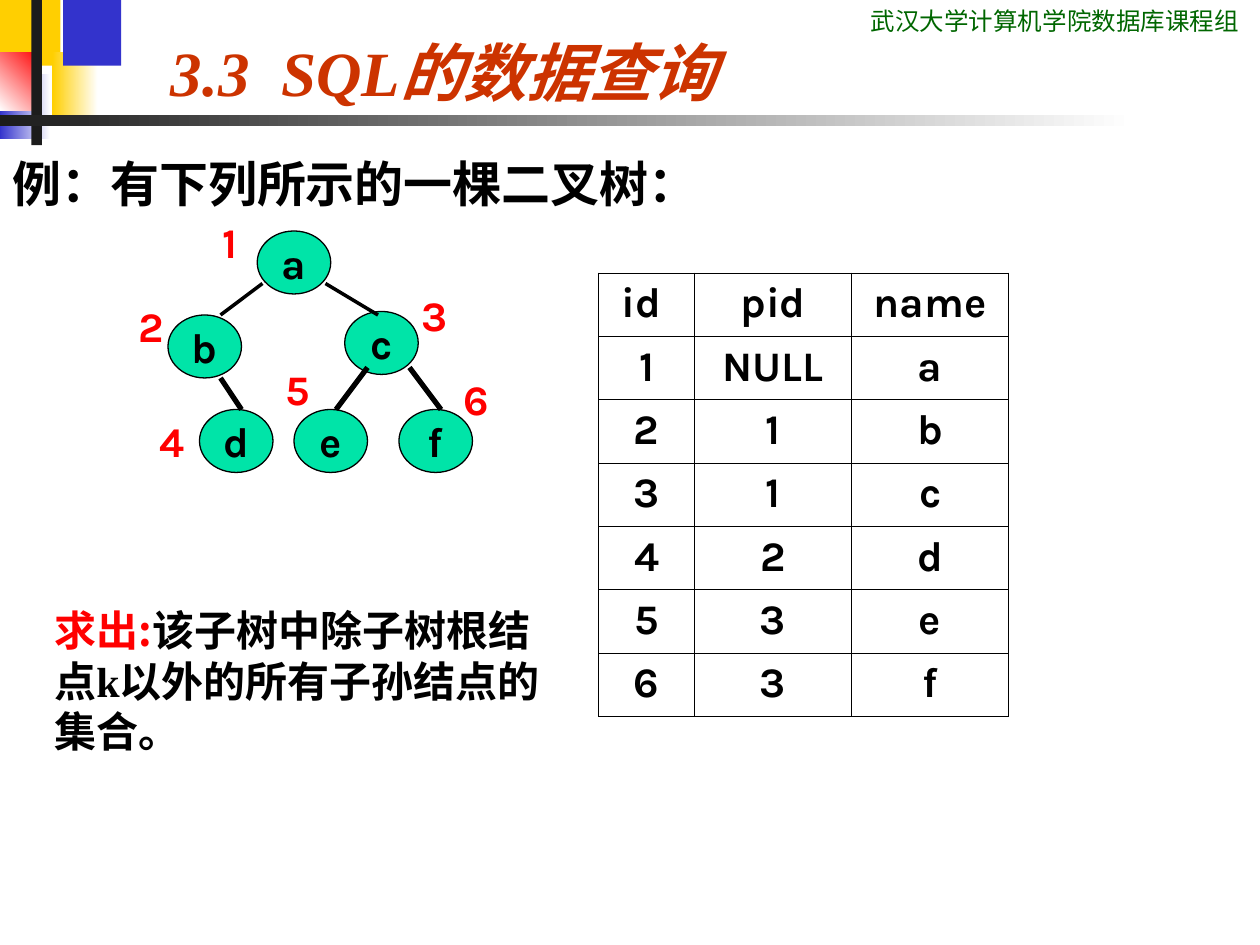
from pptx import Presentation
from pptx import util as u
from pptx.dml.color import RGBColor
from pptx.enum import shapes, text
from pptx.oxml.ns import qn
from lxml import etree

Pt = u.Pt
BLACK = RGBColor(0x00, 0x00, 0x00)
WHITE = RGBColor(0xFF, 0xFF, 0xFF)
RED = RGBColor(0xFF, 0x00, 0x00)
GOLD = RGBColor(0xFF, 0xCF, 0x01)
BLUE = RGBColor(0x33, 0x33, 0xCC)
DARK = RGBColor(0x1C, 0x1C, 0x1C)
GREEN = RGBColor(0x00, 0x66, 0x00)
ORANGE = RGBColor(0xCC, 0x33, 0x00)
MINT = RGBColor(0x00, 0xE4, 0xA8)
CJK = "Noto Sans CJK SC"

prs = Presentation()
prs.slide_width, prs.slide_height = Pt(720), Pt(540)
s = prs.slides.add_slide(prs.slide_layouts[6])


def add_run(p, content, color, name="Karla", **fmt):
    r = p.add_run()
    r.text = content
    r.font.color.rgb = color
    for key, value in {"name": name, "size": Pt(24), "bold": True, **fmt}.items():
        setattr(r.font, key, value)
    etree.SubElement(r._r.get_or_add_rPr(), qn("a:ea"), typeface=CJK)


def add_text(x, y, w, h, anchor=text.MSO_ANCHOR.TOP):
    tf = s.shapes.add_textbox(Pt(x), Pt(y), Pt(w), Pt(h)).text_frame
    tf.word_wrap = True
    tf.vertical_anchor = anchor
    return tf.paragraphs[0]


# Corner blocks and title rule: box, colours from start to end, angle
for box, colors, angle in [
    ((0, 0, 34.5, 37.5), [GOLD], 0),
    ((30, 30, 26, 37.5), [WHITE, GOLD], 180),
    ((36, 0, 33.25, 37.5), [BLUE], 0),
    ((0, 42, 28.75, 37.5), [WHITE, BLUE], 180),
    ((0, 30, 24, 33.25), [RED, WHITE], 225),
    ((18, 0, 6, 83), [DARK], 0),
    ((0, 66, 648, 6), [WHITE, DARK], 180),
]:
    sp = s.shapes.add_shape(shapes.MSO_SHAPE.RECTANGLE, *map(Pt, box))
    sp.shadow.inherit = False
    sp.line.fill.background()
    if len(colors) == 1:
        sp.fill.solid()
        sp.fill.fore_color.rgb = colors[0]
    else:
        sp.fill.gradient()
        sp.fill.gradient_angle = angle
        for stop, color in zip(sp.fill.gradient_stops, colors):
            stop.color.rgb = color

# Course group, title and example heading
p = add_text(490.5, 0, 229.5, 24.5)
add_run(p, "武汉大学计算机学院数据库课程组", GREEN, "Roboto Condensed", size=Pt(14), bold=False)

p = add_text(90.5, 0, 491, 66, text.MSO_ANCHOR.BOTTOM)
for part, name in [("3.3  SQL", "Times New Roman"), ("的数据查询", CJK)]:
    add_run(p, part, ORANGE, name, size=Pt(36), italic=True)

p = add_text(0, 84, 696, 48)
add_run(p, "例：有下列所示的一棵二叉树：", BLACK, size=Pt(28))

# Tree nodes
for label, x, y in [("a", 147, 132), ("b", 96, 180), ("e", 168, 234),
                    ("c", 197, 178), ("f", 228, 234), ("d", 114, 234)]:
    sp = s.shapes.add_shape(shapes.MSO_SHAPE.OVAL, Pt(x), Pt(y), Pt(42), Pt(36))
    sp.shadow.inherit = False
    sp.fill.solid()
    sp.fill.fore_color.rgb = MINT
    sp.line.color.rgb = BLACK
    sp.line.width = Pt(0.75)
    tf = sp.text_frame
    tf.word_wrap = False
    tf.vertical_anchor = text.MSO_ANCHOR.MIDDLE
    tf.paragraphs[0].alignment = text.PP_ALIGN.CENTER
    add_run(tf.paragraphs[0], label, BLACK)

# Tree edges
for x1, y1, x2, y2, width in [(150, 162, 126, 180, 2), (186, 162, 216, 180, 2),
                              (126, 216, 138, 234, 3), (234, 210, 252, 234, 3),
                              (210, 210, 192, 234, 3)]:
    line = s.shapes.add_connector(shapes.MSO_CONNECTOR.STRAIGHT, Pt(x1), Pt(y1), Pt(x2), Pt(y2))
    line.line.color.rgb = BLACK
    line.line.width = Pt(width)
    etree.SubElement(line._element.spPr, qn("a:effectLst"))

# Node numbers
for number, x, y in [("1", 120, 120), ("6", 258, 210), ("2", 72, 168),
                     ("4", 84, 234), ("5", 156, 204), ("3", 234, 162)]:
    add_run(add_text(x, y, 36, 36), number, RED)

# Table of nodes and their parents
ROWS = [("id ", "pid", "name"), ("1", "NULL", "a"), ("2", "1", "b"), ("3", "1", "c"),
        ("4", "2", "d"), ("5", "3", "e"), ("6", "3", "f")]
WIDTHS = (55, 89.5, 90)
ROW_HEIGHT = 36.2
table = s.shapes.add_table(len(ROWS), len(WIDTHS), Pt(342), Pt(156),
                           Pt(sum(WIDTHS)), Pt(ROW_HEIGHT * len(ROWS))).table
for column, width in zip(table.columns, WIDTHS):
    column.width = Pt(width)
for i, values in enumerate(ROWS):
    table.rows[i].height = Pt(ROW_HEIGHT)
    for j, value in enumerate(values):
        cell = table.cell(i, j)
        tcPr = cell._tc.get_or_add_tcPr()
        for side in ("lnL", "lnR", "lnT", "lnB"):
            ln = etree.SubElement(tcPr, qn("a:" + side), w=str(Pt(0.45)))
            fill = etree.SubElement(ln, qn("a:solidFill"))
            etree.SubElement(fill, qn("a:srgbClr"), val=str(BLACK))
        cell.fill.background()
        p = cell.text_frame.paragraphs[0]
        p.alignment = text.PP_ALIGN.CENTER
        add_run(p, value, BLACK)

# Question
p = add_text(24, 342, 300, 93.5)
for part, color, name in [("求出:", RED, CJK), ("该子树中除子树根结点", BLACK, CJK),
                          ("k", BLACK, "Times New Roman"),
                          ("以外的所有子孙结点的集合。", BLACK, CJK)]:
    add_run(p, part, color, name)

prs.save("out.pptx")
